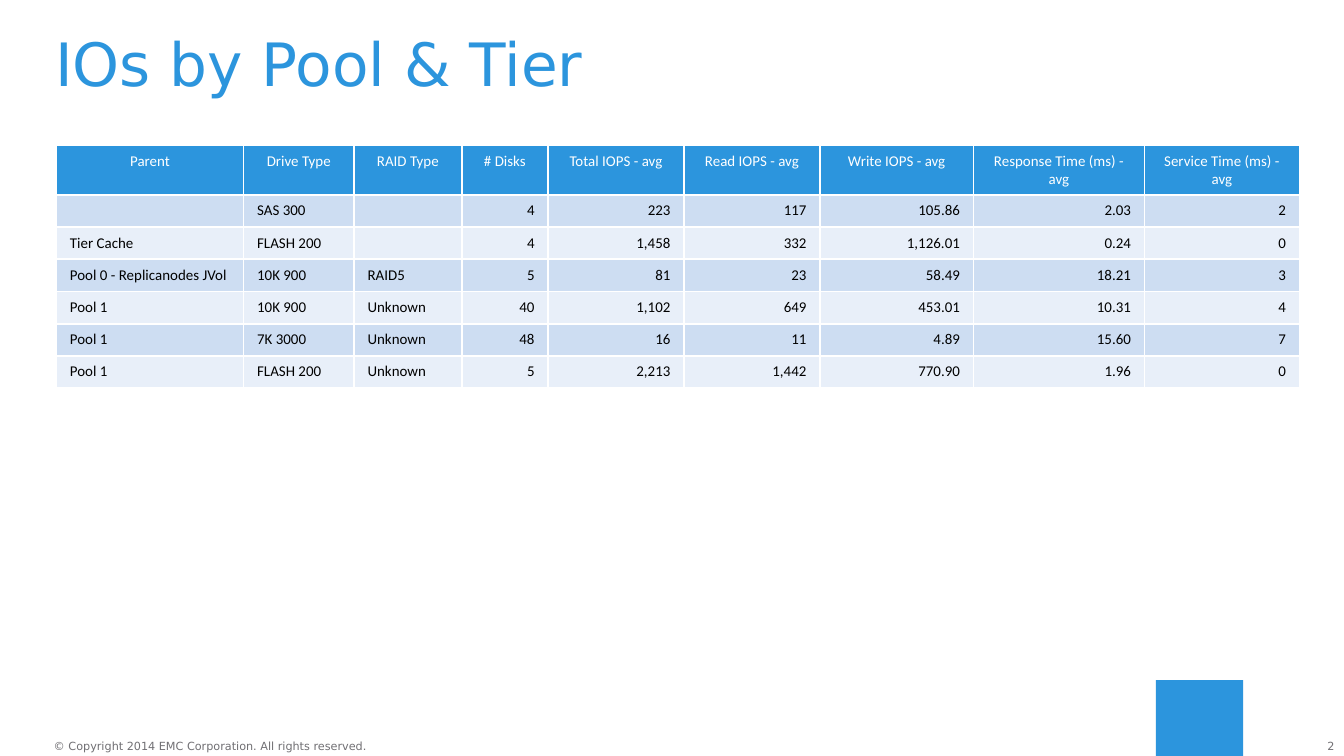
"""Build the slide that tabulates IOs by pool and tier."""
from lxml import etree
from pptx import Presentation
from pptx import util as u
from pptx.dml.color import RGBColor
from pptx.enum import shapes, text
from pptx.oxml import ns

BLUE = RGBColor(0x2C, 0x95, 0xDD)
GREY = RGBColor(0x71, 0x70, 0x74)
WHITE = RGBColor(0xFF, 0xFF, 0xFF)
BLACK = RGBColor(0, 0, 0)
BANDS = (RGBColor(0xCD, 0xDD, 0xF2), RGBColor(0xE8, 0xEF, 0xF9))

LEFT, CENTER, RIGHT = text.PP_ALIGN.LEFT, text.PP_ALIGN.CENTER, text.PP_ALIGN.RIGHT

TITLE = "IOs by Pool & Tier"
COLUMNS = [
    ("Parent", 1.39, LEFT),
    ("Drive Type", 0.82, LEFT),
    ("RAID Type", 0.8, LEFT),
    ("# Disks", 0.64, RIGHT),
    ("Total IOPS - avg", 1.01, RIGHT),
    ("Read IOPS - avg", 1.01, RIGHT),
    ("Write IOPS - avg", 1.14, RIGHT),
    ("Response Time (ms) - avg", 1.27, RIGHT),
    ("Service Time (ms) - avg", 1.15, RIGHT),
]
ROWS = [
    ("", "SAS 300", "", "4", "223", "117", "105.86", "2.03", "2"),
    ("Tier Cache", "FLASH 200", "", "4", "1,458", "332", "1,126.01", "0.24", "0"),
    ("Pool 0 - Replicanodes JVol", "10K 900", "RAID5", "5", "81", "23", "58.49", "18.21", "3"),
    ("Pool 1", "10K 900", "Unknown", "40", "1,102", "649", "453.01", "10.31", "4"),
    ("Pool 1", "7K 3000", "Unknown", "48", "16", "11", "4.89", "15.60", "7"),
    ("Pool 1", "FLASH 200", "Unknown", "5", "2,213", "1,442", "770.90", "1.96", "0"),
]
FOOTERS = [
    ("© Copyright 2014 EMC Corporation. All rights reserved.", (0.4, 5.5, 2.37, 0.1), LEFT, False),
    ("2", (9.62, 5.5, 0.31, 0.1), RIGHT, True),
]
TITLE_FONT = {"name": "DejaVu Sans", "size": u.Pt(32), "bold": False}
FOOTER_FONT = {"name": "DejaVu Sans", "size": u.Pt(6)}
CELL_FONT = {"name": "Calibri", "size": u.Pt(8), "bold": False}
NO_MARGINS = dict.fromkeys(("margin_left", "margin_top", "margin_right", "margin_bottom"), 0)
SLIDE_WIDTH = 10
SLIDE_HEIGHT = SLIDE_WIDTH * 9 / 16
TABLE_WIDTH, HEADER_HEIGHT, ROW_HEIGHT = 9.25, 0.37, 0.24


def assign(target, values):
    for name, value in values.items():
        setattr(target, name, value)


def write(frame, words, font, color, align):
    para = frame.paragraphs[0]
    para.alignment = align
    if words:
        span = para.add_run()
        span.text = words
        assign(span.font, font)
        span.font.color.rgb = color
    else:
        end = etree.SubElement(para._p, ns.qn("a:endParaRPr"))
        end.set("sz", str(int(font["size"].pt * 100)))
    return para


def draw_borders(cell):
    properties = cell._tc.get_or_add_tcPr()
    for side in "LRTB":
        line = etree.SubElement(properties, ns.qn(f"a:ln{side}"), w=str(u.Pt(1)))
        fill = etree.SubElement(line, ns.qn("a:solidFill"))
        etree.SubElement(fill, ns.qn("a:srgbClr"), val=str(WHITE))


def fill_cell(cell, words, color, align, fill):
    write(cell.text_frame, words, CELL_FONT, color, align)
    draw_borders(cell)
    cell.fill.solid()
    cell.fill.fore_color.rgb = fill


def add_title(page):
    title = page.shapes.title
    area = {"left": 0.41, "top": 0.25, "width": 9.25, "height": 0.5}
    assign(title, {name: u.Inches(value) for name, value in area.items()})
    assign(title.text_frame, {
        **NO_MARGINS,
        "vertical_anchor": text.MSO_ANCHOR.MIDDLE,
        "auto_size": text.MSO_AUTO_SIZE.NONE,
        "word_wrap": True,
    })
    write(title.text_frame, TITLE, TITLE_FONT, BLUE, LEFT).line_spacing = 0.9


def add_footer(page):
    top = 5.06
    accent = page.shapes.add_shape(
        shapes.MSO_SHAPE.RECTANGLE, *map(u.Inches, (8.6, top, 0.65, SLIDE_HEIGHT - top)))
    accent.shadow.inherit = False
    accent.fill.solid()
    accent.fill.fore_color.rgb = BLUE
    accent.line.fill.background()
    for words, area, align, wrap in FOOTERS:
        box = page.shapes.add_textbox(*map(u.Inches, area))
        assign(box.text_frame, {
            **NO_MARGINS, "word_wrap": wrap,
            "auto_size": text.MSO_AUTO_SIZE.SHAPE_TO_FIT_TEXT,
        })
        write(box.text_frame, words, FOOTER_FONT, GREY, align)


def add_pool_table(page):
    scale = TABLE_WIDTH / sum(column[1] for column in COLUMNS)
    height = HEADER_HEIGHT + ROW_HEIGHT * len(ROWS)
    table = page.shapes.add_table(
        len(ROWS) + 1, len(COLUMNS), *map(u.Inches, (0.42, 1.08, TABLE_WIDTH, height))).table
    for index, row in enumerate(table.rows):
        row.height = u.Inches(ROW_HEIGHT if index else HEADER_HEIGHT)
    for col, (heading, col_width, align) in enumerate(COLUMNS):
        table.columns[col].width = u.Inches(col_width * scale)
        fill_cell(table.cell(0, col), heading, WHITE, CENTER, BLUE)
        for index, values in enumerate(ROWS):
            fill_cell(table.cell(index + 1, col), values[col], BLACK, align, BANDS[index % 2])


def main():
    deck = Presentation()
    assign(deck, {"slide_width": u.Inches(SLIDE_WIDTH), "slide_height": u.Inches(SLIDE_HEIGHT)})
    page = deck.slides.add_slide(deck.slide_layouts.get_by_name("Title Only"))
    add_footer(page)
    add_title(page)
    add_pool_table(page)
    deck.save("out.pptx")


if __name__ == "__main__":
    main()
